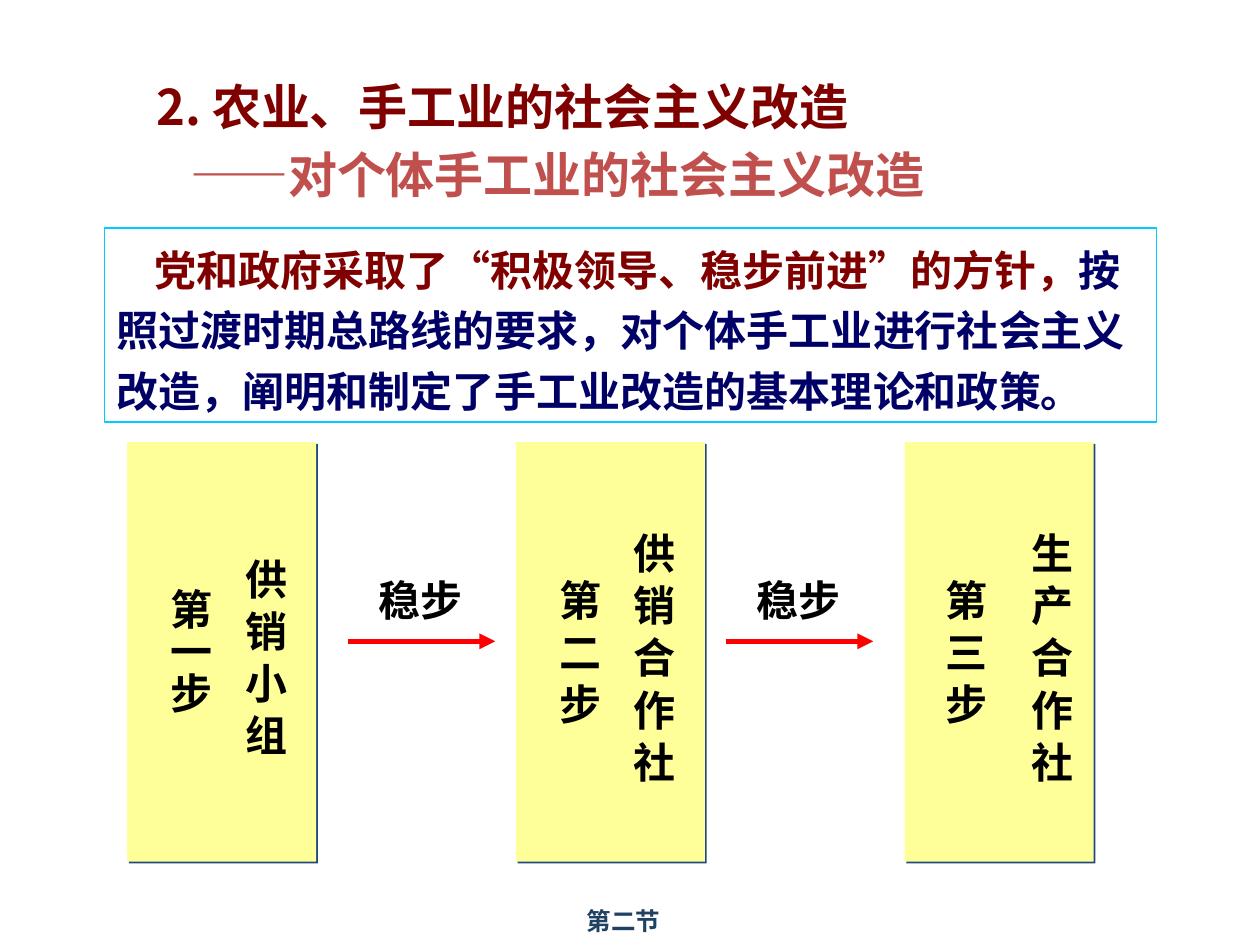
from lxml.etree import SubElement as Sub
from pptx import Presentation
from pptx.dml.color import RGBColor as RGB
from pptx.enum.shapes import MSO_CONNECTOR as Link, MSO_SHAPE as Shape
from pptx.enum.text import MSO_ANCHOR as Anchor, MSO_AUTO_SIZE as Fit, PP_ALIGN as Align
from pptx.oxml.ns import qn
from pptx.util import Inches, Pt

MAROON = RGB(0x80, 0, 0)
BRICK = RGB(0xC0, 0x50, 0x4D)
NAVY = RGB(0, 0, 0x66)
SLATE = RGB(0x20, 0x41, 0x62)
YELLOW = RGB(0xFF, 0xFF, 0x99)
CYAN = RGB(0, 0xCC, 0xFF)
RED = RGB(0xFF, 0, 0)
BLACK = RGB(0, 0, 0)
SHADE = "1F497D"
SANS = "Noto Sans CJK SC"
SERIF = "Times New Roman"

STEPS = [
    ("第一步", "供 销 小 组", 0.15, 0.74),
    ("第 二 步", "供 销 合 作 社", 0.15, 0.74),
    ("第 三 步", "生 产 合 作 社", 0.13, 0.81),
]
LEFT, PITCH = 1.01, 3.085


def style(font, size, color, name=SANS):
    """Set a bold font with its East Asian face."""
    font.size, font.bold, font.name = Pt(size), True, name
    font.color.rgb = color
    Sub(font._rPr, qn("a:ea"), typeface=SANS)


def indent(para, left, first):
    """Set the left margin and first-line indent of a paragraph."""
    props = para._p.get_or_add_pPr()
    props.set("marL", str(Inches(left)))
    props.set("indent", str(Inches(first)))


def add_runs(para, parts, size):
    """Add runs of text, color and face to a paragraph."""
    for text, color, name in parts:
        run = para.add_run()
        run.text = text
        style(run.font, size, color, name)


def add_title(slide):
    """Fill and place the two-line title."""
    title = slide.shapes.title
    title.left, title.top = Inches(1.14), Inches(0.84)
    title.width, title.height = Inches(7.64), Inches(0.47)
    frame = title.text_frame
    frame.auto_size, frame.vertical_anchor = Fit.NONE, Anchor.MIDDLE
    head, sub = frame.paragraphs[0], frame.add_paragraph()
    for para in (head, sub):
        para.alignment, para.line_spacing = Align.LEFT, 1.15
    indent(head, 0.38, -0.38)
    indent(sub, 0.27, 0)
    add_runs(head, [("2. 农业、手工业的社会主义改造", MAROON, SANS)], 28)
    add_runs(sub, [("——", BRICK, "Arial"),
                   ("对个体手工业的社会主义改造", BRICK, SANS)], 28)


def add_policy(slide):
    """Add the framed policy statement."""
    box = slide.shapes.add_shape(
        Shape.RECTANGLE, Inches(0.83), Inches(1.81), Inches(8.35), Inches(1.54))
    box.shadow.inherit = False
    box.fill.background()
    box.line.color.rgb, box.line.width = CYAN, Pt(0.75)
    frame = box.text_frame
    frame.word_wrap, frame.vertical_anchor = True, Anchor.TOP
    para = frame.paragraphs[0]
    para.alignment, para.line_spacing = Align.LEFT, 1.2
    indent(para, 0, 0.3)
    add_runs(para, [
        ("党和政府采取了“积极领导、稳步前进”的方针，", MAROON, SANS),
        ("按照过渡时期总路线的要求，对个体手工业进行社会主义改造，"
         "阐明和制定了手工业改造的基本理论和政策。", NAVY, SANS)], 24)


def add_label(slide, text, left, top, width, height, upright=False):
    """Add a centered label, set in a column when upright."""
    box = slide.shapes.add_textbox(
        Inches(left), Inches(top), Inches(width), Inches(height))
    frame = box.text_frame
    frame.word_wrap, frame.auto_size = True, Fit.SHAPE_TO_FIT_TEXT
    if upright:
        frame.margin_left = frame.margin_right = Inches(0.05)
        frame.margin_top = frame.margin_bottom = Inches(0.1)
        body = frame._txBody.bodyPr
        body.set("vert", "eaVert")
        body.set("anchorCtr", "1")
    para = frame.paragraphs[0]
    para.text, para.alignment = text, Align.CENTER
    style(para.font, 24, BLACK, SERIF)


def add_card(slide, left):
    """Add a yellow card with a hard shadow."""
    card = slide.shapes.add_shape(
        Shape.RECTANGLE, Inches(left), Inches(3.51), Inches(1.5), Inches(3.33))
    card.shadow.inherit = False
    card.fill.solid()
    card.fill.fore_color.rgb = YELLOW
    card.line.fill.background()
    effects = card._element.spPr.find(qn("a:effectLst"))
    shadow = Sub(effects, qn("a:outerShdw"), blurRad="0", dist=str(Pt(1.4)),
                 dir="2700000", algn="tl", rotWithShape="0")
    Sub(shadow, qn("a:srgbClr"), val=SHADE)


def add_arrow(slide, left):
    """Add a red arrow pointing right."""
    arrow = slide.shapes.add_connector(
        Link.STRAIGHT, Inches(left), Inches(5.09), Inches(left + 1.17), Inches(5.09))
    arrow.line.color.rgb, arrow.line.width = RED, Pt(3)
    Sub(arrow.line._get_or_add_ln(), qn("a:tailEnd"), type="triangle")
    Sub(arrow._element.spPr, qn("a:effectLst"))


def add_footer(slide):
    """Add the section name at the foot."""
    box = slide.shapes.add_textbox(
        Inches(4.48), Inches(7.14), Inches(0.94), Inches(0.24))
    box.text_frame.word_wrap = False
    para = box.text_frame.paragraphs[0]
    para.text, para.alignment = "第二节", Align.CENTER
    style(para.font, 14, SLATE)


def main():
    """Build and save the slide."""
    deck = Presentation()
    deck.slide_width, deck.slide_height = Inches(10), Inches(7.5)
    slide = deck.slides.add_slide(deck.slide_layouts[5])
    add_title(slide)
    add_policy(slide)
    for i, (step, form, near, far) in enumerate(STEPS):
        left = LEFT + i * PITCH
        add_card(slide, left)
        add_label(slide, step, left + near, 3.59, 0.6, 3.17, True)
        add_label(slide, form, left + far, 3.67, 0.6, 3.08, True)
    for i in range(len(STEPS) - 1):
        add_arrow(slide, 2.76 + 3 * i)
        add_label(slide, "稳步", 2.59 + 3 * i, 4.51, 1.5, 0.5)
    add_footer(slide)
    deck.save("out.pptx")


if __name__ == "__main__":
    main()
